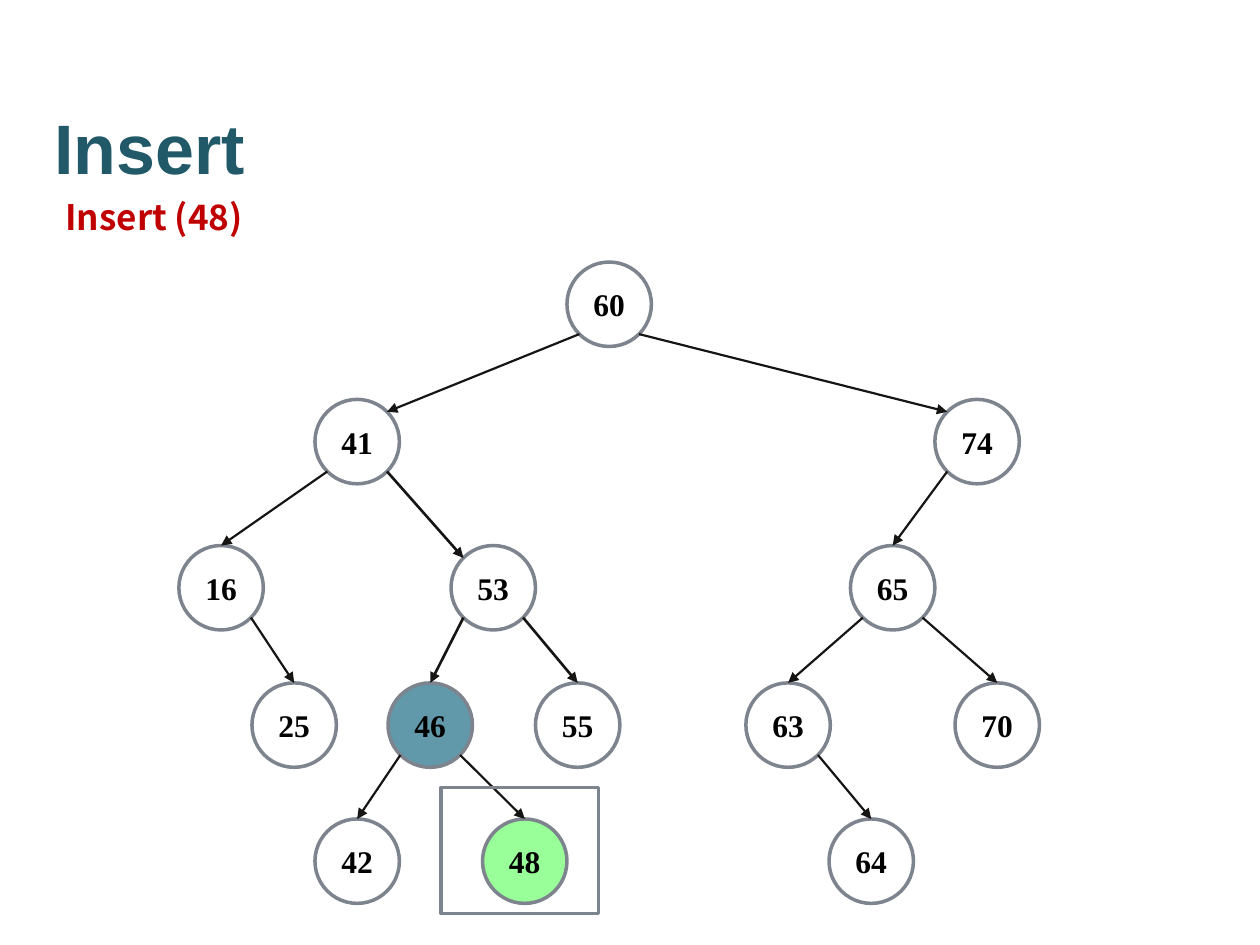
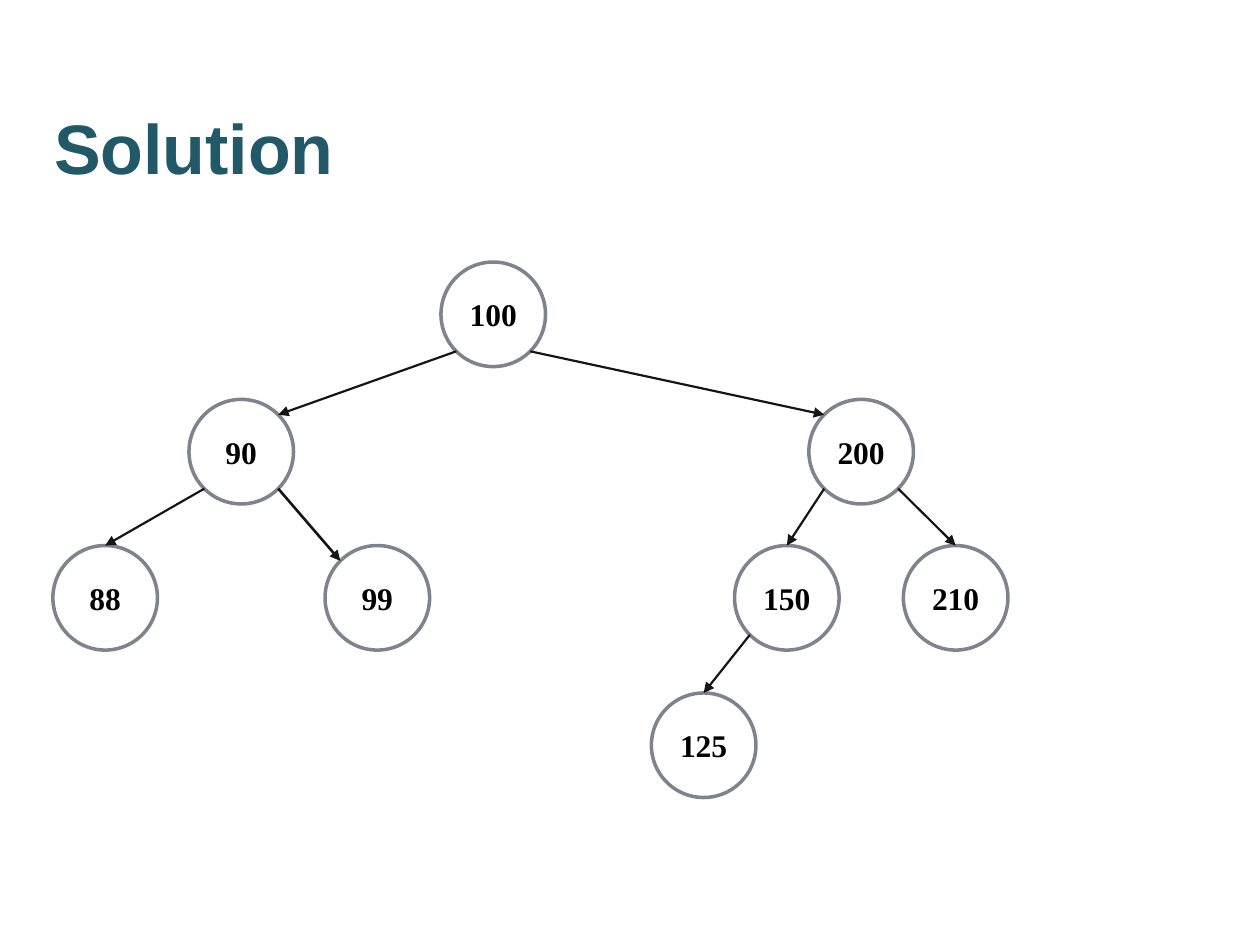
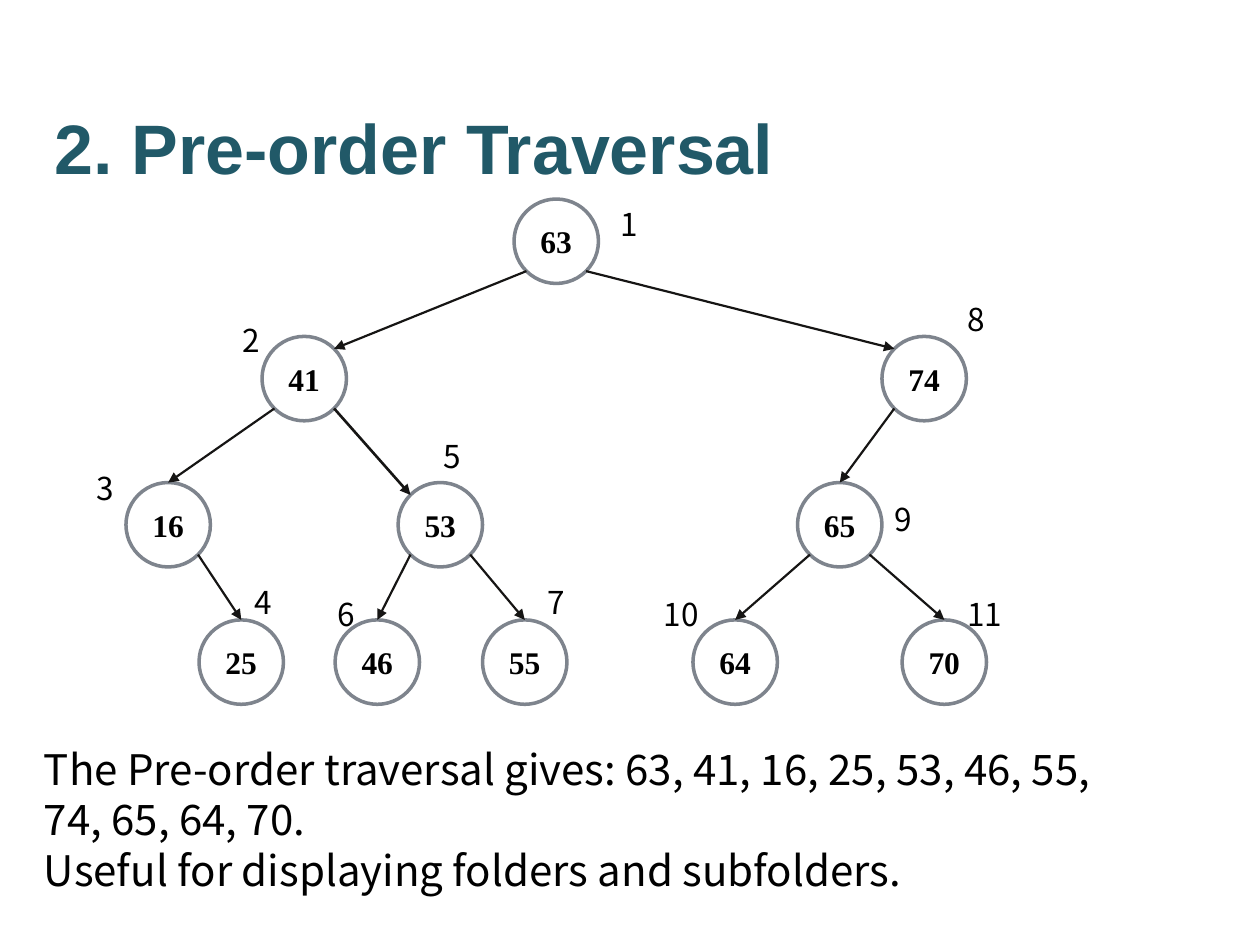
from dataclasses import dataclass
from math import sqrt
from typing import Optional

from pptx import Presentation
from pptx.dml.color import RGBColor
from pptx.enum.shapes import MSO_CONNECTOR as Connector, MSO_SHAPE as Preset
from pptx.enum.text import MSO_ANCHOR as Anchor, MSO_AUTO_SIZE as AutoSize, PP_ALIGN as Align
from pptx.oxml.ns import qn
from pptx.oxml.xmlchemy import OxmlElement
from pptx.slide import Slide
from pptx.text.text import TextFrame
from pptx.util import Inches, Pt


@dataclass(frozen=True)
class Theme:
    title: str = "215968"
    operation: str = "C00000"
    text: str = "000000"
    node: str = "FFFFFF"
    parent: str = "6299AA"
    inserted: str = "99FF99"
    outline: str = "7E848D"
    arrow: str = "161514"
    title_font: str = "Arial"
    node_font: str = "Times New Roman"
    body_font: str = "Noto Sans CJK KR"
    title_size: int = 40
    body_size: int = 24
    operation_size: int = 20
    node_size: int = 18
    outline_width: float = 2
    arrow_width: float = 1.25
    heavy_width: float = 1.5
    line_factor: float = 1.2


THEME = Theme()
LEVELS = (2.08, 3.17, 4.33, 5.42, 6.5)  # top edge of each tree level


@dataclass(frozen=True)
class Node:
    key: int
    left: float
    top: float
    parent: Optional[int] = None
    side_entry: bool = False  # the arrow meets the upper corner, not the top
    heavy: bool = False
    fill: str = THEME.node


@dataclass(frozen=True)
class VisitLabel:
    left: float
    top: float
    width: float = 0.33
    height: float = 0.42


def write(frame: TextFrame, *paragraphs: str, font: str, size: float, color: str,
          bold: bool = False, align: Align = Align.LEFT, anchor: Anchor = Anchor.TOP,
          wrap: bool = True, line_height: Optional[float] = None) -> None:
    """Fill a text frame, one paragraph for each string."""
    frame.word_wrap = wrap
    frame.vertical_anchor = anchor
    for index, wording in enumerate(paragraphs):
        paragraph = frame.add_paragraph() if index else frame.paragraphs[0]
        paragraph.alignment = align
        if line_height:
            paragraph.line_spacing = Pt(line_height)
        run = paragraph.add_run()
        run.text = wording
        run.font.name = font
        run.font.size = Pt(size)
        run.font.bold = bold
        run.font.color.rgb = RGBColor.from_string(color)


def add_text(slide: Slide, left: float, top: float, width: float, height: float,
             *paragraphs: str, size: float, color: str = THEME.text, bold: bool = False) -> None:
    box = slide.shapes.add_textbox(Inches(left), Inches(top), Inches(width), Inches(height))
    write(box.text_frame, *paragraphs, font=THEME.body_font, size=size, color=color,
          bold=bold, line_height=size * THEME.line_factor)
    box.text_frame.auto_size = AutoSize.SHAPE_TO_FIT_TEXT


def add_titled_slide(title: str) -> Slide:
    slide = deck.slides.add_slide(deck.slide_layouts.get_by_name("Title Only"))
    heading = slide.shapes.title
    heading.left, heading.top = Inches(0.33), Inches(0.58)
    heading.width, heading.height = Inches(7.83), Inches(1.17)
    write(heading.text_frame, title, font=THEME.title_font, size=THEME.title_size,
          color=THEME.title, bold=True, anchor=Anchor.MIDDLE)
    heading.text_frame.auto_size = AutoSize.NONE
    return slide


def add_outlined(slide: Slide, preset: Preset, left: float, top: float,
                 width: float, height: float, fill: Optional[str] = None):
    shape = slide.shapes.add_shape(preset, Inches(left), Inches(top),
                                   Inches(width), Inches(height))
    shape.shadow.inherit = False
    if fill:
        shape.fill.solid()
        shape.fill.fore_color.rgb = RGBColor.from_string(fill)
    else:
        shape.fill.background()
    shape.line.color.rgb = RGBColor.from_string(THEME.outline)
    shape.line.width = Pt(THEME.outline_width)
    return shape


def add_arrow(slide: Slide, start: tuple[float, float], end: tuple[float, float],
              width: float) -> None:
    arrow = slide.shapes.add_connector(Connector.STRAIGHT, *map(Inches, start + end))
    arrow.line.color.rgb = RGBColor.from_string(THEME.arrow)
    arrow.line.width = Pt(width)
    properties = arrow._element.spPr
    head = OxmlElement("a:tailEnd")
    head.set("type", "triangle")
    properties.find(qn("a:ln")).append(head)
    properties.append(OxmlElement("a:effectLst"))


def draw_tree(slide: Slide, nodes: list[Node], diameter: float = 0.67,
              shift: tuple[float, float] = (0, 0)) -> None:
    """Draw the nodes, then an arrow from each parent to its child."""
    dx, dy = shift
    for node in nodes:
        circle = add_outlined(slide, Preset.OVAL, node.left + dx, node.top + dy,
                              diameter, diameter, node.fill)
        write(circle.text_frame, str(node.key), font=THEME.node_font, size=THEME.node_size,
              color=THEME.text, bold=True, align=Align.CENTER, anchor=Anchor.MIDDLE, wrap=False)

    by_key = {node.key: node for node in nodes}
    radius = diameter / 2
    diagonal = radius / sqrt(2)
    for child in nodes:
        if child.parent is None:
            continue
        parent = by_key[child.parent]
        side = 1 if child.left > parent.left else -1
        start = (parent.left + dx + radius + side * diagonal,
                 parent.top + dy + radius + diagonal)
        end_x, end_y = child.left + dx + radius, child.top + dy
        if child.side_entry:
            end_x -= side * diagonal
            end_y += radius - diagonal
        add_arrow(slide, start, (end_x, end_y),
                  THEME.heavy_width if child.heavy else THEME.arrow_width)


def search_tree(root: int, inner_leaf: int, changed: bool = False) -> list[Node]:
    """The four levels that the insert and the traversal examples share."""
    return [
        Node(root, 4.5, LEVELS[0]),
        Node(41, 2.5, LEVELS[1], root, side_entry=True),
        Node(74, 7.42, LEVELS[1], root, side_entry=True),
        Node(16, 1.42, LEVELS[2], 41),
        Node(53, 3.58, LEVELS[2], 41, side_entry=True, heavy=True),
        Node(65, 6.75, LEVELS[2], 74),
        Node(70, 7.58, LEVELS[3], 65),
        Node(inner_leaf, 5.92, LEVELS[3], 65),
        Node(55, 4.25, LEVELS[3], 53, heavy=changed),
        Node(46, 3.08, LEVELS[3], 53, heavy=changed,
             fill=THEME.parent if changed else THEME.node),
        Node(25, 2.0, LEVELS[3], 16),
    ]


deck = Presentation()
deck.slide_width, deck.slide_height = Inches(10), Inches(7.5)

# Insert: the new key hangs below its highlighted parent
insert = add_titled_slide("Insert")
add_text(insert, 0.42, 1.5, 1.67, 0.44, "Insert (48)", size=THEME.operation_size,
         color=THEME.operation, bold=True)
draw_tree(insert, search_tree(60, 63, changed=True) + [
    Node(64, 6.58, LEVELS[4], 63),
    Node(42, 2.5, LEVELS[4], 46),
    Node(48, 3.83, LEVELS[4], 46, fill=THEME.inserted),
])
add_outlined(insert, Preset.RECTANGLE, 3.5, 6.25, 1.25, 1)

# Solution: a tree with larger nodes
solution = add_titled_slide("Solution")
draw_tree(solution, [
    Node(100, 3.5, LEVELS[0]),
    Node(90, 1.5, LEVELS[1], 100, side_entry=True),
    Node(200, 6.42, LEVELS[1], 100, side_entry=True),
    Node(88, 0.42, LEVELS[2], 90),
    Node(99, 2.58, LEVELS[2], 90, side_entry=True, heavy=True),
    Node(150, 5.83, LEVELS[2], 200),
    Node(210, 7.17, LEVELS[2], 200),
    Node(125, 5.17, 5.5, 150),
], diameter=0.83)

# Pre-order traversal: visit numbers beside the nodes
traversal = add_titled_slide("2. Pre-order Traversal")
draw_tree(traversal, search_tree(63, 64), shift=(-0.42, -0.5))
add_text(traversal, 0.25, 5.85, 8.58, 1.31,
         "The Pre-order traversal gives: 63, 41, 16, 25, 53, 46, 55, 74, 65, 64, 70.",
         "Useful for displaying folders and subfolders.", size=THEME.body_size)
VISITS = (
    VisitLabel(4.83, 1.58), VisitLabel(1.83, 2.5), VisitLabel(0.67, 3.67),
    VisitLabel(1.92, 4.58), VisitLabel(3.42, 3.42), VisitLabel(2.58, 4.67),
    VisitLabel(4.25, 4.58), VisitLabel(7.58, 2.33), VisitLabel(7.0, 3.92),
    VisitLabel(5.17, 4.67, 0.5, 0.4), VisitLabel(7.58, 4.67, 0.5, 0.4),
)
for order, visit in enumerate(VISITS, start=1):
    add_text(traversal, visit.left, visit.top, visit.width, visit.height,
             str(order), size=THEME.node_size)

deck.save("out.pptx")
